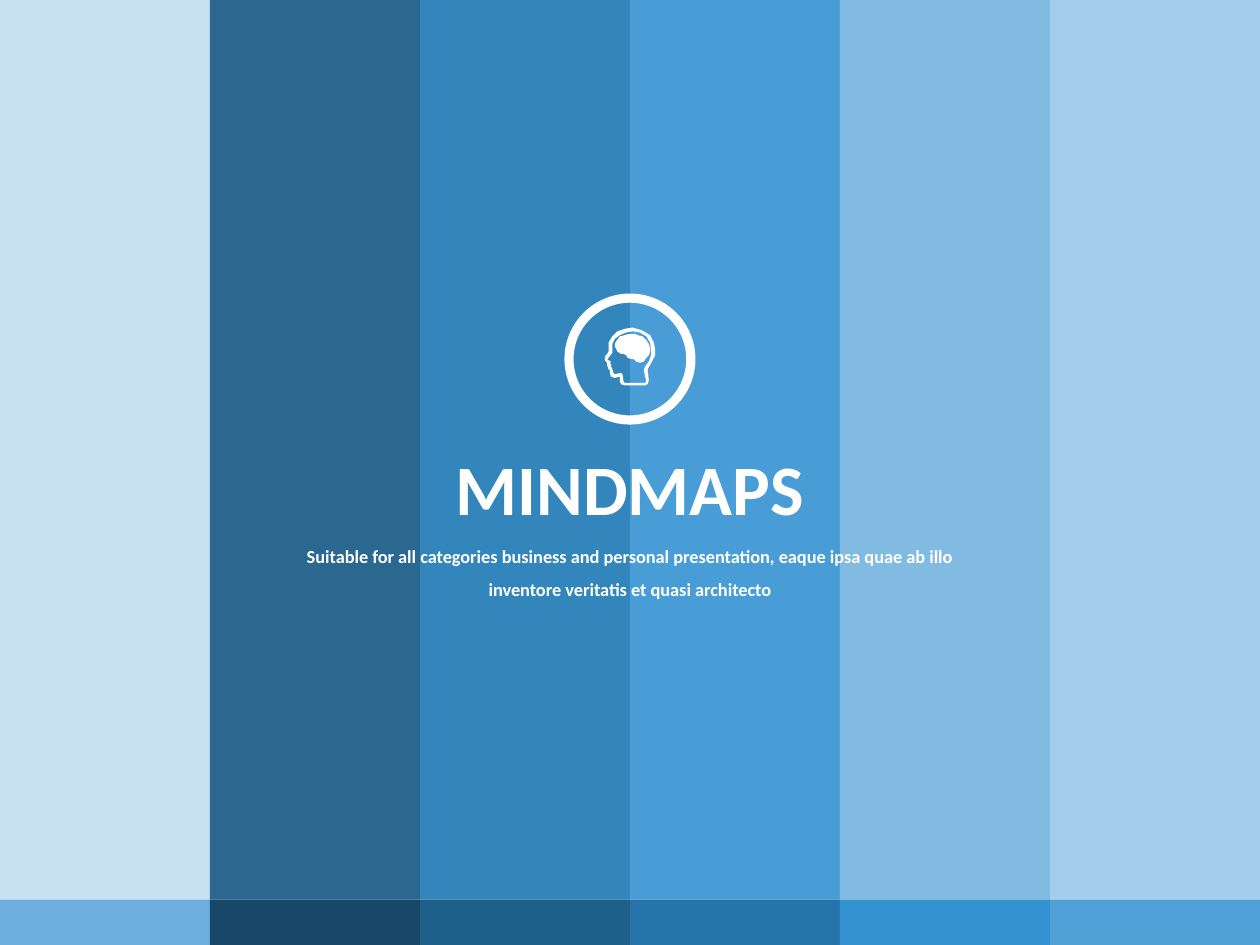
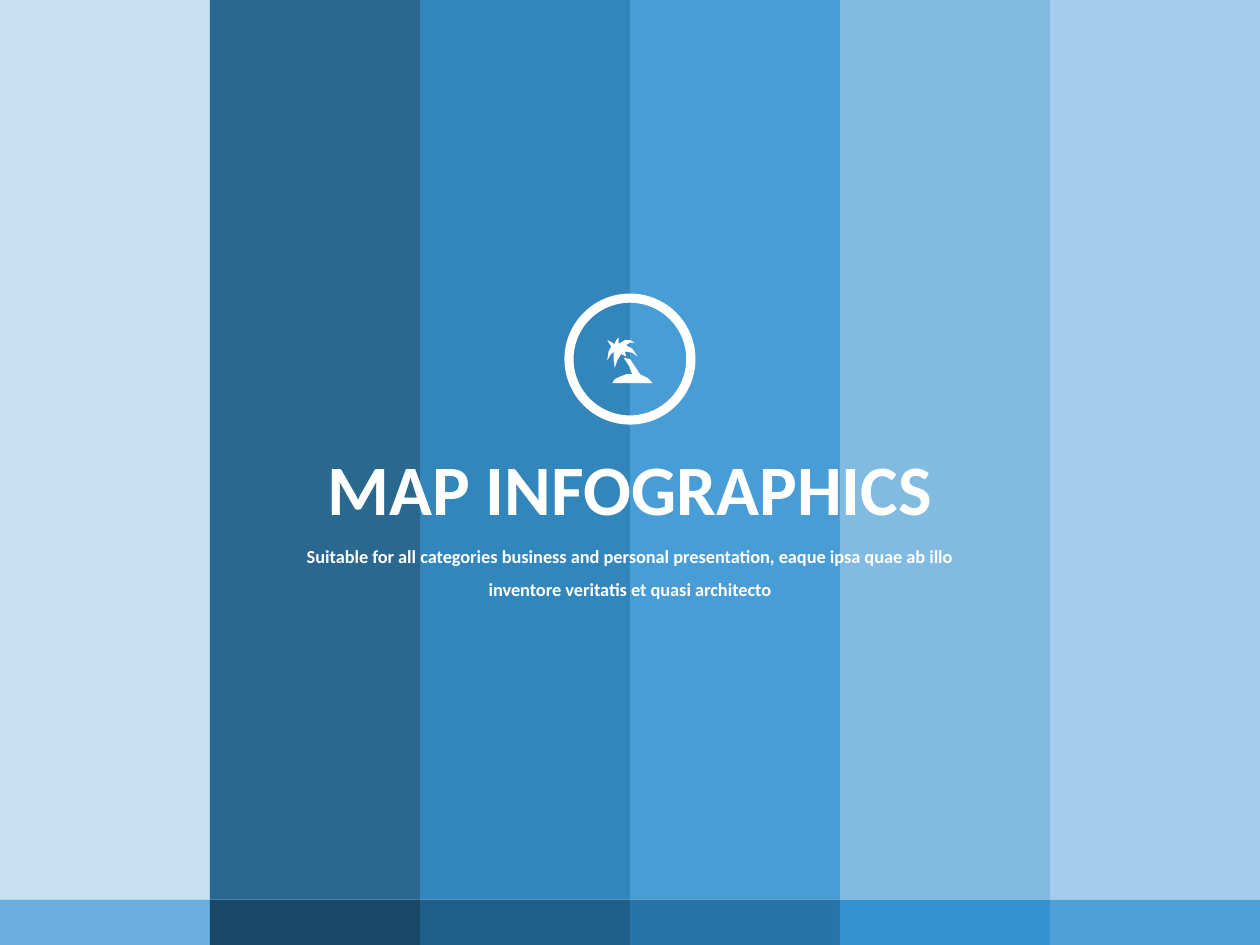
import pptx
import pptx.util
import pptx.dml.color
import pptx.enum.shapes
import pptx.enum.text
import pptx.oxml.ns
from lxml import etree

# Content
SUBTITLE = ("Suitable for all categories business and personal presentation, "
            "eaque ipsa quae ab illo inventore veritatis et quasi architecto")

# Icons: shapes made of closed outlines, points in hundredths of an inch
HEAD = [
    [(516, 266), (509, 262), (502, 260), (496, 261), (490, 263), (486, 267),
     (483, 272), (483, 279), (482, 281), (480, 283), (480, 286), (482, 288),
     (482, 290), (483, 293), (484, 294), (484, 296), (485, 299), (488, 300),
     (492, 299), (492, 303), (493, 305), (496, 306), (512, 306), (514, 305),
     (515, 302), (514, 293), (517, 288), (520, 282), (520, 277), (519, 272)],
    [(517, 281), (515, 287), (512, 291), (511, 294), (513, 303), (512, 304),
     (496, 304), (495, 303), (494, 297), (493, 296), (488, 297), (487, 296),
     (486, 293), (485, 291), (485, 289), (484, 288), (485, 287), (483, 286),
     (482, 285), (483, 284), (486, 280), (486, 273), (488, 269), (492, 266),
     (497, 264), (502, 263), (508, 264), (513, 267), (516, 272)],
]
BRAIN = [
    [(506, 266), (504, 265), (499, 265), (496, 266), (492, 267), (489, 271),
     (488, 273), (488, 275), (490, 279), (493, 281), (495, 281), (497, 282),
     (498, 284), (501, 285), (503, 285), (505, 287), (508, 288), (511, 287),
     (513, 284), (515, 282), (516, 279), (516, 277), (515, 273), (513, 270),
     (510, 267)],
]
TRUNK = [
    [(508, 297), (504, 291), (500, 285), (495, 284), (499, 290), (502, 297),
     (497, 297), (492, 299), (488, 301), (486, 304), (518, 304), (514, 300)],
]
LEAVES = [
    [(488, 279), (487, 281), (487, 285), (488, 292), (490, 286), (493, 281),
     (497, 283), (496, 279), (502, 280), (506, 283), (502, 277), (497, 274),
     (500, 272), (504, 272), (500, 270), (496, 270), (491, 273), (491, 268),
     (489, 270), (488, 273), (482, 270), (485, 275), (483, 279), (482, 286),
     (485, 281)],
]
SECTIONS = [
    {"title": "MINDMAPS", "width": 2.99, "icon": [HEAD, BRAIN]},
    {"title": "MAP INFOGRAPHICS", "width": 5.04, "icon": [TRUNK, LEAVES]},
]

# Shared look
FONT = "Calibri"
COLORS = {
    "white": "FFFFFF",
    "band 1": "C6E0F2", "band 2": "1F608B", "band 3": "2980B9",
    "band 4": "4098D4", "band 5": "7BB8E1", "band 6": "9FCBE9",
    "foot 1": "6CAFDE", "foot 2": "174868", "foot 3": "1F608B",
    "foot 4": "2674A9", "foot 5": "3492D1", "foot 6": "4FA0D7",
}
WIDTH, HEIGHT = 10, 7.5
COLUMNS = 6
COLUMN = WIDTH / COLUMNS
FOOT_TOP = 7.14
BAND_OPACITY = 95
RING_SIZE, RING_TOP, RING_SHARE = 1.04, 2.33, 0.07
UNIT = pptx.util.Inches(0.01)


def inches(*lengths):
    return [pptx.util.Inches(length) for length in lengths]


def paint(shape, color, opacity=100):
    shape.shadow.inherit = False
    shape.line.fill.background()
    shape.fill.solid()
    shape.fill.fore_color.rgb = pptx.dml.color.RGBColor.from_string(COLORS[color])
    if opacity < 100:
        tint = shape.fill._xPr.find(".//" + pptx.oxml.ns.qn("a:srgbClr"))
        etree.SubElement(tint, pptx.oxml.ns.qn("a:alpha"), val=str(opacity * 1000))


def add_preset(page, kind, left, top, width, height, color, opacity=100):
    shape = page.shapes.add_shape(kind, *inches(left, top, width, height))
    paint(shape, color, opacity)
    return shape


def add_text(page, text, top, width, height, size, wrap=True, spacing=None):
    """Add bold white text, centred across the page."""
    box = page.shapes.add_textbox(*inches((WIDTH - width) / 2, top, width, height))
    box.text_frame.word_wrap = wrap
    para = box.text_frame.paragraphs[0]
    para.alignment = pptx.enum.text.PP_ALIGN.CENTER
    if spacing:
        para.line_spacing = spacing
    span = para.add_run()
    span.text = text
    span.font.name = FONT
    span.font.size = pptx.util.Pt(size)
    span.font.bold = True
    span.font.color.rgb = pptx.dml.color.RGBColor.from_string(COLORS["white"])


def add_outline(page, contours):
    first, *others = contours
    builder = page.shapes.build_freeform(*first[0], scale=UNIT)
    builder.add_line_segments(first[1:], close=True)
    for contour in others:
        builder.move_to(*contour[0])
        builder.add_line_segments(contour[1:], close=True)
    paint(builder.convert_to_shape(), "white")


def add_stripes(page):
    rectangle = pptx.enum.shapes.MSO_SHAPE.RECTANGLE
    rows = [("band", 0, FOOT_TOP, BAND_OPACITY),
            ("foot", FOOT_TOP, HEIGHT - FOOT_TOP, 100)]
    for name, top, height, opacity in rows:
        for column in range(COLUMNS):
            add_preset(page, rectangle, column * COLUMN, top, COLUMN, height,
                       f"{name} {column + 1}", opacity)


def add_section(deck, section):
    page = deck.slides.add_slide(deck.slide_layouts[6])
    add_stripes(page)
    # Title and subtitle
    add_text(page, section["title"], 3.48, section["width"], 0.78, 40.5, wrap=False)
    add_text(page, SUBTITLE, 4.19, 5.62, 0.63, 10.5, spacing=1.5)
    # Ring with its icon
    ring = add_preset(page, pptx.enum.shapes.MSO_SHAPE.DONUT,
                      (WIDTH - RING_SIZE) / 2, RING_TOP, RING_SIZE, RING_SIZE, "white")
    ring.adjustments[0] = RING_SHARE
    for contours in section["icon"]:
        add_outline(page, contours)


def main():
    deck = pptx.Presentation()
    deck.slide_width, deck.slide_height = inches(WIDTH, HEIGHT)
    for section in SECTIONS:
        add_section(deck, section)
    deck.save("out.pptx")


if __name__ == "__main__":
    main()
